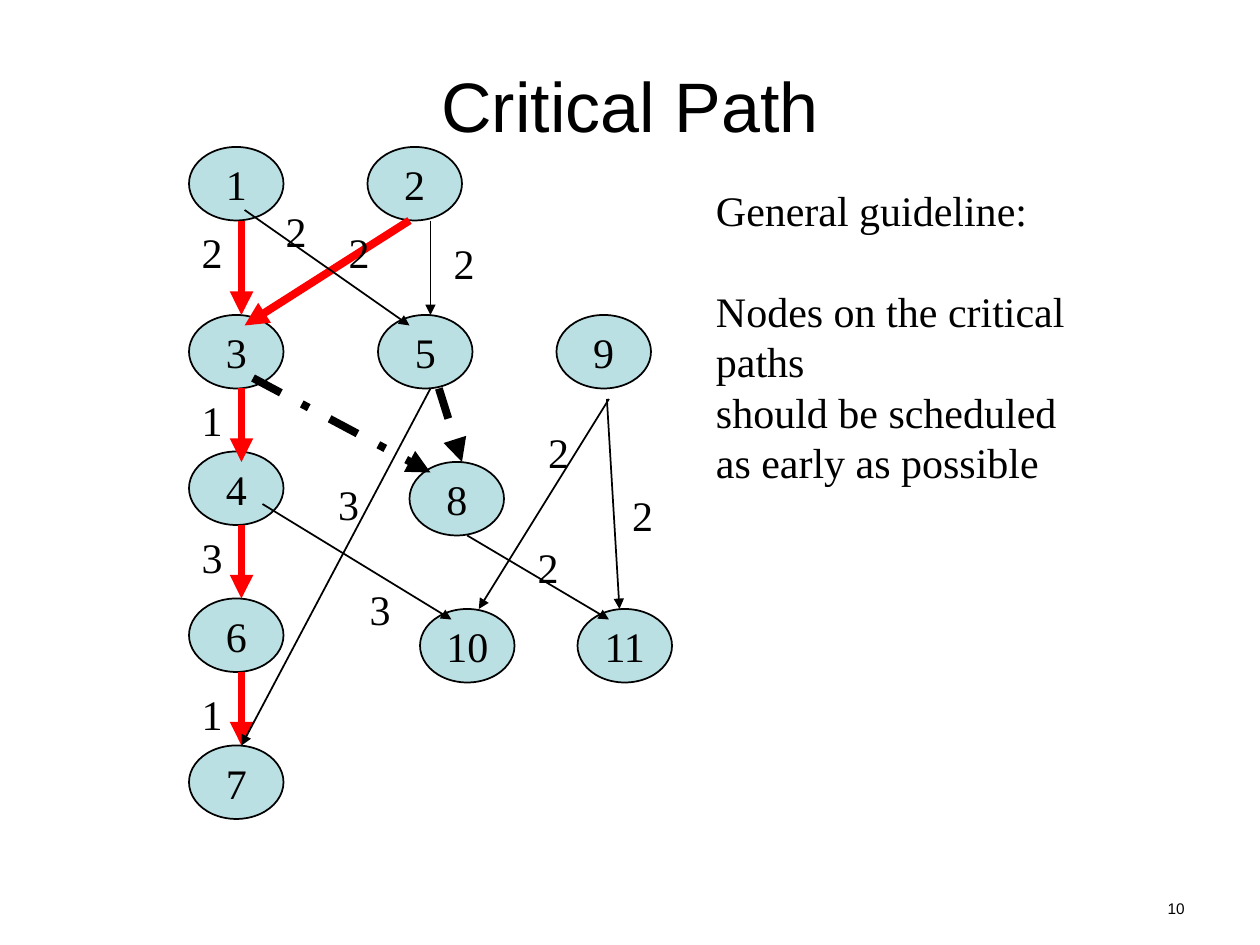
from dataclasses import dataclass

from lxml.etree import SubElement
from pptx import Presentation
from pptx.dml.color import RGBColor
from pptx.enum.dml import MSO_LINE
from pptx.enum.shapes import MSO_CONNECTOR, MSO_SHAPE
from pptx.enum.text import MSO_ANCHOR, PP_ALIGN
from pptx.oxml.ns import qn
from pptx.util import Inches, Pt


@dataclass(frozen=True)
class Theme:
    """Colours, fonts and type sizes of the slide."""
    ink: RGBColor = RGBColor(0, 0, 0)
    node: RGBColor = RGBColor(0xBB, 0xE0, 0xE3)
    critical: RGBColor = RGBColor(0xFF, 0, 0)
    heading_font: str = "Arial"
    body_font: str = "Times New Roman"
    title_size: float = 40
    body_size: float = 24
    number_size: float = 8.8
    body_leading: float = 28.8


THEME = Theme()
COLUMNS, ROWS, CELLS_PER_INCH = 120, 90, 12
NODE_SIZE = (9, 7)
WEIGHT_SIZE = (4.4, 6)

HEADING = {"name": THEME.heading_font, "size": Pt(THEME.title_size)}
NUMBER = {"name": THEME.heading_font, "size": Pt(THEME.number_size)}
BODY = {"name": THEME.body_font, "size": Pt(THEME.body_size)}
BODY_LEADING = {"line_spacing": Pt(THEME.body_leading)}
CENTRED = {"alignment": PP_ALIGN.CENTER}
CENTRED_BODY = CENTRED | BODY_LEADING

THIN = {"width": Pt(1)}
CRITICAL = {"width": Pt(4.5)}
DASHED = {"width": Pt(4.5), "dash_style": MSO_LINE.DASH_DOT}

NODES = {
    "1": (0, 0), "2": (17, 0), "3": (0, 16), "4": (0, 29),
    "5": (18, 16), "6": (0, 43), "7": (0, 57), "8": (21, 30),
    "9": (35, 16), "10": (22, 44), "11": (37, 44),
}
EDGES = [
    (CRITICAL, THEME.critical, [
        ((5, 7), (5, 16)), ((21, 7), (5.3, 17)), ((5, 23), (5, 30)),
        ((5, 36), (5, 43)), ((5, 50), (5, 57)),
    ]),
    (DASHED, THEME.ink, [((23.8, 23), (26, 30)), ((6.1, 22), (23, 31))]),
    (THIN, THEME.ink, [
        ((5.3, 6), (21, 17)), ((23, 7), (23, 16)), ((23, 23), (5, 57)),
        ((7, 34), (25, 45)), ((40, 24), (27.6, 44)),
        ((26.5, 37), (40, 45)), ((39.8, 24), (41, 44)),
    ]),
]
WEIGHTS = {
    "1": [(0, 23), (0, 51)],
    "2": [(0, 7), (24, 8), (8, 5), (14, 7), (33, 26), (41, 32), (32, 37)],
    "3": [(0, 36), (16, 41), (13, 31)],
}


def cells(*counts):
    """Turn grid cells into lengths."""
    return [Inches(count / CELLS_PER_INCH) for count in counts]


def apply(target, formats):
    """Set every format value on the target."""
    for attribute, value in formats.items():
        setattr(target, attribute, value)


def write(holder, lines, font, paragraph_format, frame_format):
    """Write lines of text as paragraphs in a shape."""
    frame = holder.text_frame
    apply(frame, {"word_wrap": False} | frame_format)
    frame.text = "\n".join(lines)
    for paragraph in frame.paragraphs:
        apply(paragraph, paragraph_format)
        apply(paragraph.font, font)
        paragraph.font.color.rgb = THEME.ink
    return frame


def add_label(slide, box, lines, font, paragraph_format, **frame_format):
    """Add a text box on the grid."""
    label = slide.shapes.add_textbox(*cells(*box))
    return write(label, lines, font, paragraph_format, frame_format)


def add_node(slide, box, name):
    """Add one task of the graph."""
    node = slide.shapes.add_shape(MSO_SHAPE.OVAL, *cells(*box))
    node.shadow.inherit = False
    node.fill.solid()
    node.fill.fore_color.rgb = THEME.node
    node.line.color.rgb = THEME.ink
    apply(node.line, THIN)
    write(node, [name], BODY, CENTRED_BODY, {"vertical_anchor": MSO_ANCHOR.MIDDLE})


def add_edge(slide, start, end, stroke, colour):
    """Add one arrow between two tasks."""
    edge = slide.shapes.add_connector(MSO_CONNECTOR.STRAIGHT, *cells(*start, *end))
    edge.line.color.rgb = colour
    apply(edge.line, stroke)
    SubElement(edge.line._get_or_add_ln(), qn("a:tailEnd"), type="triangle")
    SubElement(edge._element.spPr, qn("a:effectLst"))


def draw_title(slide, box):
    """Place the slide title."""
    add_label(slide, box, ["Critical Path"], HEADING, CENTRED,
              vertical_anchor=MSO_ANCHOR.MIDDLE)


def draw_graph(slide, box):
    """Place the task graph with its nodes, arrows and weights."""
    left, top = box[:2]

    def shift(point):
        """Move a point of the graph to the slide grid."""
        return left + point[0], top + point[1]

    for name, corner in NODES.items():
        add_node(slide, (*shift(corner), *NODE_SIZE), name)
    for stroke, colour, edges in EDGES:
        for start, end in edges:
            add_edge(slide, shift(start), shift(end), stroke, colour)
    for weight, corners in WEIGHTS.items():
        for corner in corners:
            add_label(slide, (*shift(corner), *WEIGHT_SIZE), [weight], BODY, CENTRED_BODY)


def draw_guideline(slide, box):
    """Place the scheduling guideline."""
    guideline = add_label(slide, box, [
        "General guideline:",
        "Nodes on the critical paths",
        "should be scheduled",
        "as early as possible",
    ], BODY, BODY_LEADING)
    guideline.paragraphs[1].space_before = Pt(THEME.body_leading)


def draw_slide_number(slide, box):
    """Place the slide number."""
    add_label(slide, box, ["10"], NUMBER, {"alignment": PP_ALIGN.RIGHT}, word_wrap=True)


def main():
    """Build and save the slide."""
    deck = Presentation()
    deck.slide_width, deck.slide_height = cells(COLUMNS, ROWS)
    slide = deck.slides.add_slide(deck.slide_layouts[6])
    draw_title(slide, (9, 4, COLUMNS - 18, 12))
    draw_graph(slide, (18, 14, 46, 64))
    draw_guideline(slide, (67, 17, 45, 25.2))
    draw_slide_number(slide, (86, 85, 28, 3.2))
    deck.save("out.pptx")


if __name__ == "__main__":
    main()
